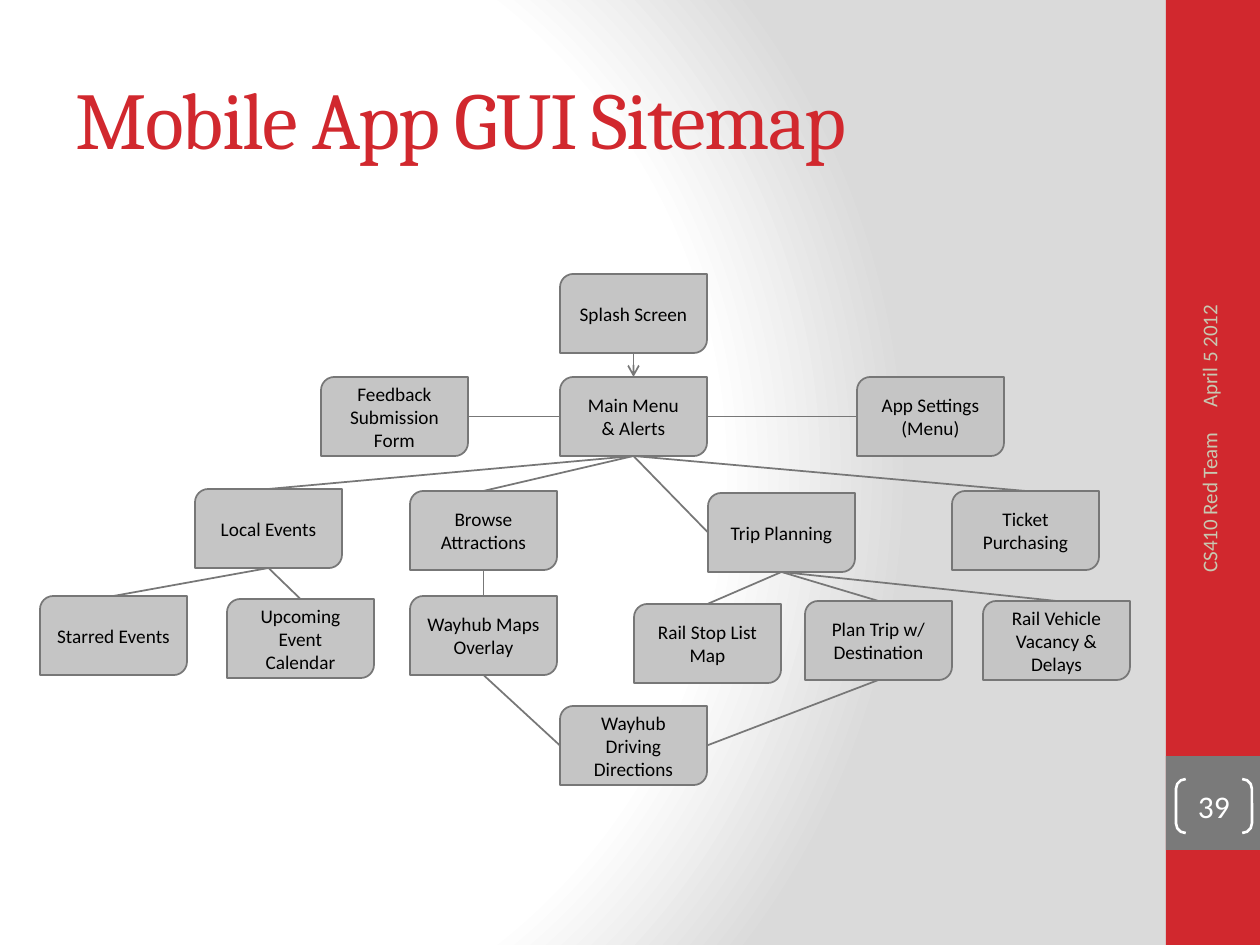
from dataclasses import dataclass

from lxml import etree
from pptx import Presentation
from pptx.dml.color import RGBColor
from pptx.enum.shapes import MSO_CONNECTOR, MSO_SHAPE
from pptx.enum.text import MSO_ANCHOR, PP_ALIGN
from pptx.oxml import parse_xml
from pptx.oxml.ns import nsdecls, qn
from pptx.util import Emu, Pt


@dataclass(frozen=True)
class Theme:
    red: str = "D1282E"
    gray: str = "7A7A7A"
    node: str = "C5C5C5"
    edge: str = "777777"
    sand: str = "C8C8B1"
    white: str = "FFFFFF"
    black: str = "000000"
    shade: str = "DADADA"
    heading: str = "Cambria"
    body: str = "Calibri"
    title_size: int = 46
    number_size: int = 18
    footer_size: int = 12
    node_size: int = 11


T = Theme()
TOP, LEFT, BOTTOM, RIGHT = range(4)
DIAG_SITE = {TOP: 3, LEFT: 2, BOTTOM: 1, RIGHT: 0}
NODE_W, NODE_H = 147, 79

NODES = {
    "splash": (520, 0, "Splash Screen"),
    "main": (520, 103, "Main Menu\v& Alerts"),
    "feedback": (281, 103, "Feedback Submission Form"),
    "settings": (817, 103, "App Settings (Menu)"),
    "local": (155, 215, "Local Events"),
    "browse": (370, 217, "Browse Attractions"),
    "trip": (668, 219, "Trip Planning"),
    "ticket": (912, 217, "Ticket Purchasing"),
    "starred": (0, 322, "Starred Events"),
    "upcoming": (187, 325, "Upcoming Event Calendar"),
    "maps": (370, 322, "Wayhub Maps Overlay"),
    "stops": (594, 330, "Rail Stop List Map"),
    "plan": (765, 327, "Plan Trip w/ Destination"),
    "vehicle": (943, 327, "Rail Vehicle Vacancy & Delays"),
    "driving": (520, 432, "Wayhub Driving Directions"),
}

LINKS = [
    ("splash", BOTTOM, "main", TOP),
    ("main", LEFT, "feedback", RIGHT),
    ("main", RIGHT, "settings", LEFT),
    ("main", BOTTOM, "local", TOP),
    ("main", BOTTOM, "browse", TOP),
    ("main", BOTTOM, "trip", LEFT),
    ("main", BOTTOM, "ticket", TOP),
    ("local", BOTTOM, "starred", TOP),
    ("local", BOTTOM, "upcoming", TOP),
    ("browse", BOTTOM, "maps", TOP),
    ("trip", BOTTOM, "stops", TOP),
    ("trip", BOTTOM, "plan", TOP),
    ("trip", BOTTOM, "vehicle", TOP),
    ("maps", BOTTOM, "driving", LEFT),
    ("plan", BOTTOM, "driving", RIGHT),
]


def px(n):
    return Emu(round(n * 914400 / 126))


def rgb(color):
    return RGBColor.from_string(color)


def write(sp, text, size, color, font=T.body, align=PP_ALIGN.LEFT):
    tf = sp.text_frame
    tf.word_wrap = True
    tf.vertical_anchor = MSO_ANCHOR.MIDDLE
    tf.text = text
    p = tf.paragraphs[0]
    p.alignment = align
    p.font.size = Pt(size)
    p.font.name = font
    p.font.color.rgb = rgb(color)
    return tf


def add_text(slide, box, *args, **kwargs):
    sp = slide.shapes.add_textbox(*map(px, box))
    write(sp, *args, **kwargs)
    return sp


def add_box(slide, kind, box, fill=None, line=None, width=1):
    sp = slide.shapes.add_shape(kind, *map(px, box))
    sp.shadow.inherit = False
    if fill:
        sp.fill.solid()
        sp.fill.fore_color.rgb = rgb(fill)
    else:
        sp.fill.background()
    if line:
        sp.line.color.rgb = rgb(line)
        sp.line.width = Pt(width)
    else:
        sp.line.fill.background()
    return sp


def add_link(slide, start, start_side, end, end_side):
    cx = slide.shapes.add_connector(MSO_CONNECTOR.STRAIGHT, 0, 0, 0, 0)
    cx.begin_connect(start, start_side)
    cx.end_connect(end, end_side)
    for tag, side in (("a:stCxn", start_side), ("a:endCxn", end_side)):
        cx.element.find(".//" + qn(tag)).set("idx", str(DIAG_SITE[side]))
    cx.line.color.rgb = rgb(T.edge)
    cx.line.width = Pt(1)
    etree.SubElement(cx.element.spPr, qn("a:effectLst"))
    return cx


def paint_background(slide):
    slide.background.fill.gradient()
    grad = slide.element.find(".//" + qn("a:gradFill"))
    stops = "".join(
        f'<a:gs pos="{pos * 1000}"><a:srgbClr val="{color}"/></a:gs>'
        for pos, color in ((0, T.white), (75, T.white), (100, T.shade))
    )
    grad.getparent().replace(grad, parse_xml(
        f'<a:gradFill rotWithShape="1" {nsdecls("a")}><a:gsLst>{stops}</a:gsLst>'
        '<a:path path="circle"><a:fillToRect l="20000" t="50000" r="100000" b="50000"/>'
        "</a:path></a:gradFill>"
    ))


def add_title(slide, box):
    sp = add_text(slide, box, "Mobile App GUI Sitemap", T.title_size, T.red, T.heading)
    r = sp.text_frame.paragraphs[0].runs[0]
    r.font.element.set("spc", "-100") if hasattr(r.font, "element") else r._r.get_or_add_rPr().set("spc", "-100")


def add_sidebar(slide, x, y, w, h):
    add_box(slide, MSO_SHAPE.RECTANGLE, (x, y, w, h), T.red)
    add_box(slide, MSO_SHAPE.RECTANGLE, (x, y + 756, w, w), T.gray)
    for dx, dy, length, text, align in (
        (-125, 227, 336, "April 5 2012", PP_ALIGN.LEFT),
        (-120, 558, 326, "CS410 Red Team", PP_ALIGN.RIGHT),
    ):
        sp = add_text(slide, (x + dx, y + dy, length, 50), text, T.footer_size, T.sand, align=align)
        sp.rotation = 270
    sp = add_box(slide, MSO_SHAPE.DOUBLE_BRACKET, (x + 10, y + 779, 76, 54), line=T.white, width=1.5)
    sp.adjustments[0] = 0.18
    tf = write(sp, "39", T.number_size, T.white, align=PP_ALIGN.CENTER)
    tf.margin_left = tf.margin_right = tf.margin_top = tf.margin_bottom = 0


def add_sitemap(slide, x, y):
    nodes = {}
    for name, (dx, dy, text) in NODES.items():
        sp = add_box(slide, MSO_SHAPE.ROUND_2_DIAG_RECTANGLE,
                     (x + dx, y + dy, NODE_W, NODE_H), T.node, T.edge)
        write(sp, text, T.node_size, T.black, align=PP_ALIGN.CENTER)
        nodes[name] = sp
    for start, start_side, end, end_side in LINKS:
        cx = add_link(slide, nodes[start], start_side, nodes[end], end_side)
        if start == "splash":
            ln = cx.element.spPr.find(qn("a:ln"))
            etree.SubElement(ln, qn("a:tailEnd"), type="arrow")


def main():
    prs = Presentation()
    prs.slide_width, prs.slide_height = px(1260), px(945)
    slide = prs.slides.add_slide(prs.slide_layouts[6])
    paint_background(slide)
    add_sidebar(slide, 1166, 0, 94, 945)
    add_title(slide, (63, 38, 1050, 158))
    add_sitemap(slide, 40, 274)
    prs.save("out.pptx")


if __name__ == "__main__":
    main()
